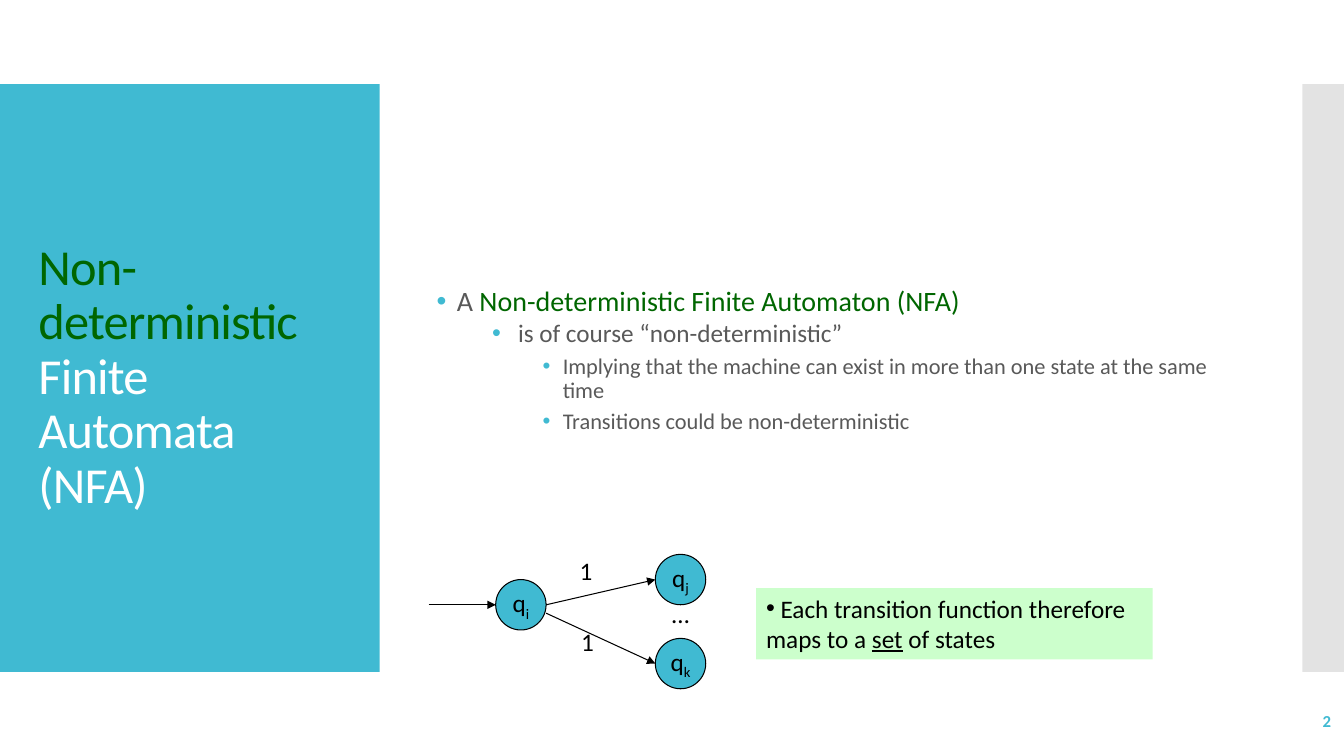
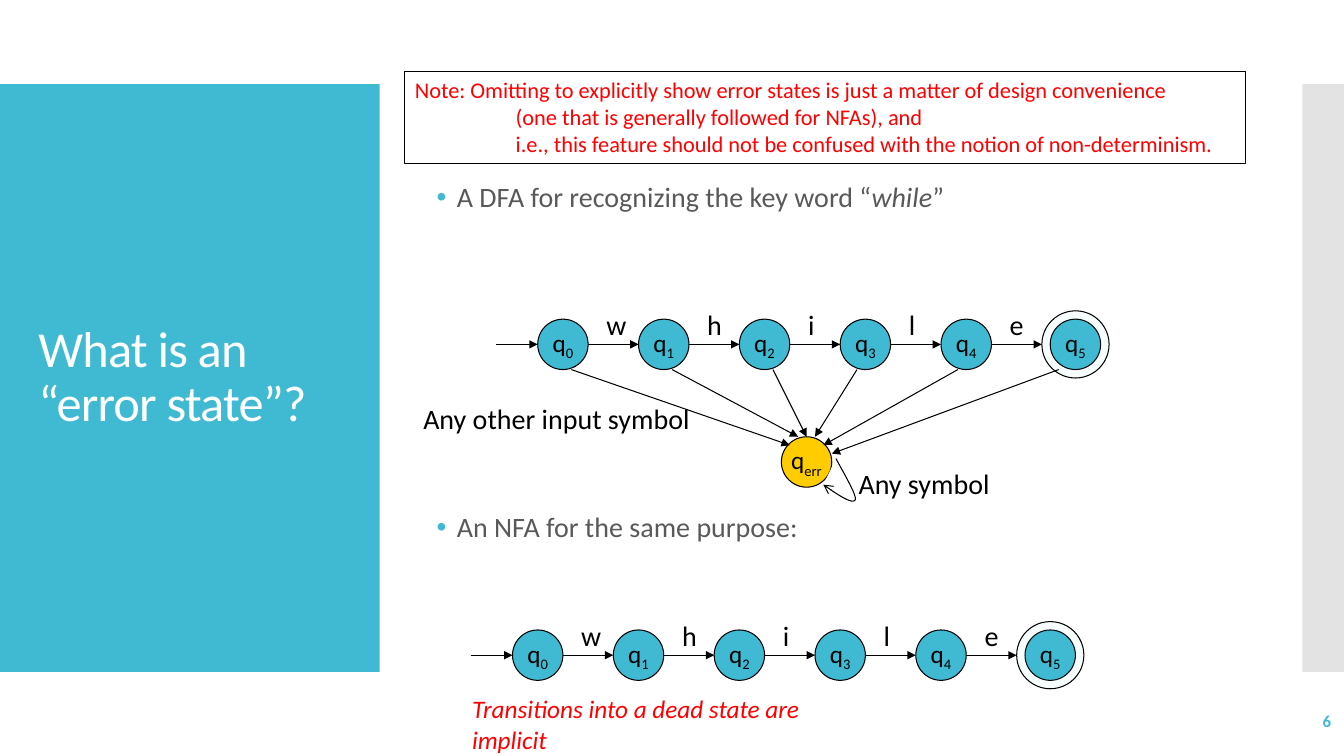
from dataclasses import dataclass
from pptx import Presentation
from pptx.dml.color import RGBColor as Rgb
from pptx.enum.shapes import MSO_CONNECTOR as Link, MSO_SHAPE as Kind
from pptx.enum.text import MSO_ANCHOR as Anchor, PP_ALIGN as Align
from pptx.oxml.ns import qn
from pptx.util import Emu, Inches, Pt
from lxml.etree import SubElement as Sub


@dataclass(frozen=True)
class Theme:
    font: str = "Calibri"
    teal: str = "40BAD2"
    grey: str = "C8C8C8"
    ink: str = "595959"
    black: str = "000000"
    white: str = "FFFFFF"
    green: str = "006600"
    mint: str = "CCFFCC"
    gold: str = "FFCC00"
    red: str = "FF0000"
    head: int = 36
    mark: int = 20
    base: int = 18
    small: int = 16
    page: int = 12
    edge: float = 0.75


class Deck:
    """Draw slides on a grid of 160 columns by 90 rows."""

    def __init__(self, theme):
        self.theme = theme
        self.show = Presentation()
        self.show.slide_width = Inches(13.33)
        self.show.slide_height = Inches(7.5)
        self.cell = self.show.slide_height / 90

    def grid(self, *cells):
        return [Emu(round(n * self.cell)) for n in cells]

    def page(self, title, num):
        t = self.theme
        self.shapes = self.show.slides.add_slide(self.show.slide_layouts[6]).shapes
        self.shape(Kind.RECTANGLE, (0, 10, 45.2, 70), t.teal)
        self.shape(Kind.RECTANGLE, (155, 10, 5, 70), t.grey, alpha=50)
        foot = self.label((139.6, 83.4, 20, 4.8), [(num, {"bold": True})], t.page, t.teal)
        foot.vertical_anchor = Anchor.MIDDLE
        foot.paragraphs[0].alignment = Align.RIGHT
        head = self.label((3.4, 14.8, 38.6, 60.4), title, t.head, t.white, spc=-60)
        head.vertical_anchor = Anchor.MIDDLE
        head.paragraphs[0].line_spacing = 0.9

    def paint(self, shape, fill, line=None, alpha=100):
        shape.shadow.inherit = False
        shape.fill.solid()
        shape.fill.fore_color.rgb = Rgb.from_string(fill)
        if alpha < 100:
            tint = shape._element.spPr.find(qn("a:solidFill"))[0]
            Sub(tint, qn("a:alpha"), val=str(alpha * 1000))
        if line:
            self.stroke(shape.line, line)
        else:
            shape.line.fill.background()

    def stroke(self, line, tone):
        line.color.rgb = Rgb.from_string(tone)
        line.width = Pt(self.theme.edge)

    def shape(self, kind, box, fill, line=None, alpha=100):
        shape = self.shapes.add_shape(kind, *self.grid(*box))
        self.paint(shape, fill, line, alpha)
        return shape

    def say(self, para, runs, size, tone, spc=0):
        for text, style in [(runs, {})] if isinstance(runs, str) else runs:
            run = para.add_run()
            run.text = text
            font = run.font
            font.name, font.size = self.theme.font, Pt(size)
            font.color.rgb = Rgb.from_string(style.get("tone", tone))
            font.bold = style.get("bold", False)
            font.italic = style.get("italic", False)
            font.underline = style.get("under", False)
            attrs = run._r.get_or_add_rPr()
            if spc:
                attrs.set("spc", str(spc))
            if "drop" in style:
                attrs.set("baseline", "-25000")

    def label(self, box, runs, size, tone, spc=0):
        frame = self.shapes.add_textbox(*self.grid(*box)).text_frame
        frame.word_wrap = True
        self.say(frame.paragraphs[0], runs, size, tone, spc)
        return frame

    def panel(self, box, rows, size, tone, fill, line=None):
        frame = self.shape(Kind.RECTANGLE, box, fill, line).text_frame
        frame.word_wrap = True
        frame.vertical_anchor = Anchor.TOP
        for i, runs in enumerate(rows):
            para = frame.add_paragraph() if i else frame.paragraphs[0]
            para.alignment = Align.LEFT
            self.indent(para, 1 if i else 0, 0)
            self.say(para, runs, size, tone)
        return frame

    def indent(self, para, left, hang):
        attrs = para._p.get_or_add_pPr()
        attrs.set("marL", str(Inches(left)))
        attrs.set("indent", str(-Inches(hang)))

    def bullet(self, para, tone):
        attrs = para._p.get_or_add_pPr()
        Sub(Sub(attrs, qn("a:buClr")), qn("a:srgbClr"), val=tone)
        Sub(attrs, qn("a:buFont"), typeface="Arial")
        Sub(attrs, qn("a:buChar"), char="•")

    def list(self, row, items):
        t = self.theme
        frame = self.shapes.add_textbox(*self.grid(50.8, row, 96, 5)).text_frame
        frame.word_wrap = True
        sizes = t.mark, t.base, t.small
        lefts = 0.2, 0.75, 1.25
        for i, (rank, runs) in enumerate(items):
            para = frame.add_paragraph() if i else frame.paragraphs[0]
            para.line_spacing = 0.9
            para.space_before = Pt(2.5 if i else 0)
            para.space_after = Pt(2.5 if rank else 0)
            self.indent(para, lefts[rank], 0.2)
            self.bullet(para, t.teal)
            self.say(para, runs, sizes[rank], t.ink)

    def state(self, col, row, sub, fill=None):
        t = self.theme
        frame = self.shape(Kind.OVAL, (col, row, 6, 6), fill or t.teal, t.black).text_frame
        frame.word_wrap = False
        frame.vertical_anchor = Anchor.MIDDLE
        para = frame.paragraphs[0]
        para.alignment = Align.CENTER
        self.say(para, [("q", {}), (sub, {"drop": True})], t.base, t.black)

    def arrow(self, *ends):
        line = self.shapes.add_connector(Link.STRAIGHT, *self.grid(*ends))
        self.stroke(line.line, self.theme.black)
        self.tip(line, "triangle")
        Sub(line._element.spPr, qn("a:effectLst"))

    def tip(self, shape, kind):
        Sub(shape.line._get_or_add_ln(), qn("a:tailEnd"), type=kind)

    def curve(self, start, *bends):
        dots, here = [], start
        for a, b, end in bends:
            for k in range(1, 13):
                u = k / 12
                v = 1 - u
                dots.append(self.grid(*(
                    v**3 * p + 3 * v * v * u * q + 3 * v * u * u * r + u**3 * s
                    for p, q, r, s in zip(here, a, b, end))))
            here = end
        pen = self.shapes.build_freeform(*self.grid(*start), scale=1.0)
        pen.add_line_segments(dots, close=False)
        shape = pen.convert_to_shape()
        self.paint(shape, self.theme.white, self.theme.black)
        self.tip(shape, "arrow")

    def chain(self, col, row, word):
        t = self.theme
        mid, last = row + 3, len(word)
        self.arrow(col - 5, mid, col, mid)
        for i, char in enumerate(word):
            x = col + 12 * i
            self.state(x, row, str(i))
            self.label((x + 7, row - 2, 5, 5), char, t.mark, t.black)
            self.arrow(x + 6, mid, x + 12, mid)
        x = col + 12 * last
        self.state(x + 1, row, str(last))
        self.shape(Kind.OVAL, (x, row - 1, 8, 8), t.teal, t.black, alpha=4)


def intro(deck):
    t = deck.theme
    deck.page([("Non-deterministic", {"tone": t.green}), (" Finite Automata (NFA)", {})], "2")
    deck.list(33.6, [
        (0, [("A ", {}), ("Non-deterministic Finite Automaton (NFA)", {"tone": t.green})]),
        (1, " is of course “non-deterministic”"),
        (2, "Implying that the machine can exist in more than one state at the same time"),
        (2, "Transitions could be non-deterministic"),
    ])
    for col, row, sub in (59, 69, "i"), (78, 66, "j"), (78, 76, "k"):
        deck.state(col, row, sub)
    for ends in (51, 72, 59, 72), (65, 72, 78, 69), (65, 73, 78, 79):
        deck.arrow(*ends)
    for col, row, text in (67.8, 65.5, "1"), (68, 74, "1"), (78.8, 70.6, "…"):
        deck.label((col, row, 5, 5), text, t.base, t.black)
    rule = [(" Each transition function therefore maps to a ", {}),
            ("set", {"under": True}), (" of states", {})]
    frame = deck.panel((90, 70, 47.2, 8.5), [rule], t.base, t.black, t.mint)
    deck.bullet(frame.paragraphs[0], t.black)


def error(deck):
    t = deck.theme
    deck.page("What is an “error state”?", "6")
    deck.list(21.2, [(0, [("A DFA for recognizing the key word “", {}),
                          ("while", {"italic": True}), ("”", {})])])
    deck.list(60.5, [(0, "An NFA for the same purpose:")])
    deck.chain(64, 38, "while")
    deck.state(93, 52, "err", t.gold)
    for i, row in enumerate((53, 52, 52, 52, 53, 54)):
        deck.arrow(64 + 12 * i + (4 if i < 3 else 2), 44, 94 + i, row)
    deck.label((49.2, 47.2, 37, 5), "Any other input symbol", t.mark, t.black)
    deck.chain(61, 75, "while")
    deck.curve((99.5, 54.6), ((100.7, 56.8), (102, 59), (101.8, 59.5)),
               ((101.5, 60.1), (99.7, 58.9), (98, 57.7)))
    deck.label((101, 55, 20, 5), "Any symbol", t.mark, t.black)
    deck.panel((48.2, 8.5, 100, 11), [
        "Note: Omitting to explicitly show error states is just a matter of design convenience",
        "(one that is generally followed for NFAs), and",
        "i.e., this feature should not be confused with the notion of non-determinism.",
    ], t.small, t.red, t.white, t.black)
    deck.label((55, 82, 48, 8), [("Transitions into a dead state are implicit",
                                  {"italic": True})], t.base, t.red)


def main():
    deck = Deck(Theme())
    intro(deck)
    error(deck)
    deck.show.save("out.pptx")


if __name__ == "__main__":
    main()
